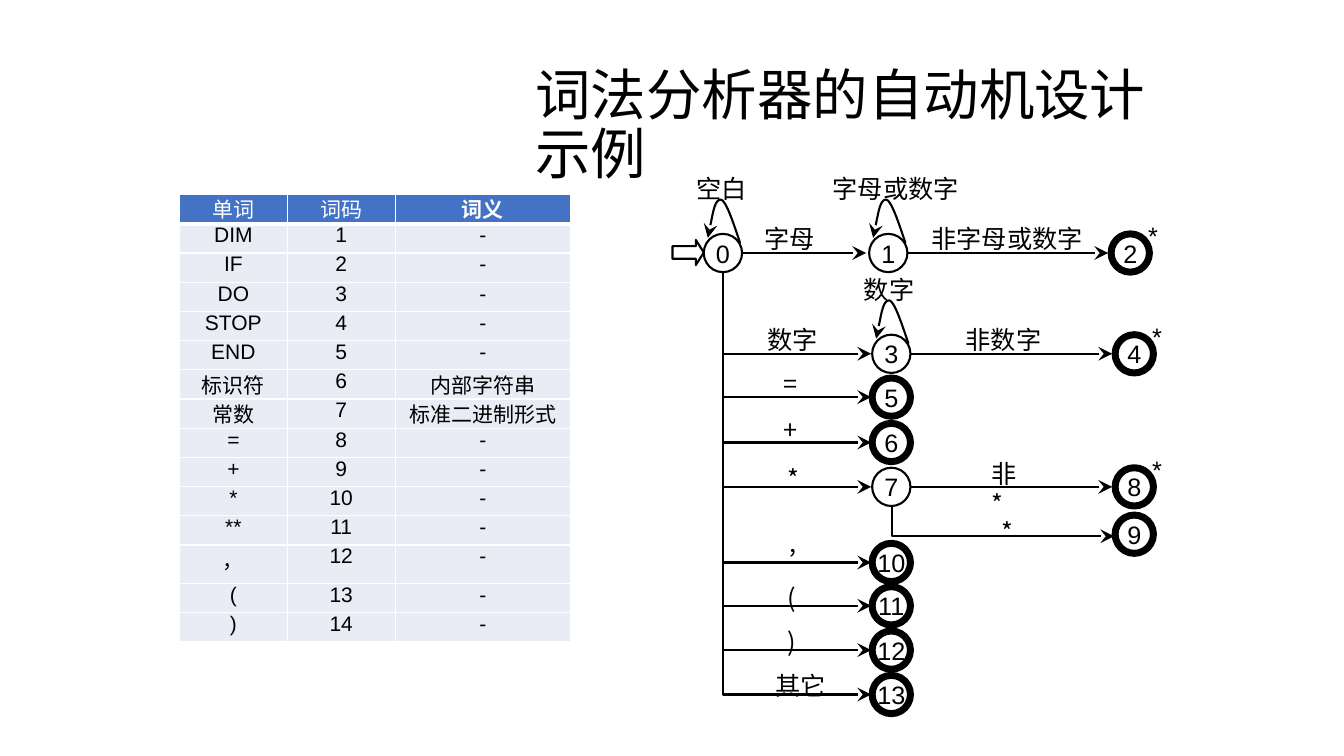
import pptx
import pptx.util
import pptx.dml.color
import pptx.enum.shapes
import pptx.enum.text
import pptx.oxml.ns
import lxml.etree

Inches, Pt = pptx.util.Inches, pptx.util.Pt
Shape = pptx.enum.shapes.MSO_SHAPE
Align = pptx.enum.text.PP_ALIGN
Mid = pptx.enum.text.MSO_ANCHOR.MIDDLE
qn = pptx.oxml.ns.qn

THEME = {
    "ink": "000000", "paper": "FFFFFF", "head": "4472C4", "cell": "E9EBF5",
    "latin": "Arial", "cjk": "Noto Sans CJK SC",
    "title": 39.6, "label": 18, "table": 15, "thin": 1.5, "thick": 5,
}

TITLE = "词法分析器的自动机设计示例"
HEAD = ("单词", "词码", "词义")
WORDS = ["DIM", "IF", "DO", "STOP", "END", "标识符", "常数",
         "=", "+", "*", "**", "，", "(", ")"]
SENSE = {"标识符": "内部字符串", "常数": "标准二进制形式"}
COLS = (1.07, 1.07, 1.74)
ROW, TALL = 0.29, 0.38

# state: (centre x, centre y)
STATES = {
    0: (7.17, 2.51), 1: (8.81, 2.51), 2: (11.21, 2.51),
    3: (8.84, 3.51), 4: (11.25, 3.51), 5: (8.84, 3.94), 6: (8.84, 4.39),
    7: (8.84, 4.83), 8: (11.25, 4.83), 9: (11.25, 5.3),
    10: (8.84, 5.58), 11: (8.84, 6.01), 12: (8.84, 6.45), 13: (8.84, 6.89),
}
OPEN = {0, 1, 3, 7}
RETRACT = (2, 4, 8)
LOOPS = (0, 1, 3)
STEPS = ((0, 1), (1, 2), (3, 4), (7, 8))
BRANCH = (3, 5, 6, 7, 10, 11, 12, 13)
LABELS = [  # text, left, top, width
    ("空白", 6.81, 1.67, 0.71), ("字母", 7.48, 2.17, 0.71),
    ("字母或数字", 8.16, 1.67, 1.46), ("非字母或数字", 9.14, 2.17, 1.72),
    ("数字", 7.51, 3.17, 0.71), ("数字", 8.47, 2.67, 0.71),
    ("非数字", 9.48, 3.17, 0.96), ("=", 7.67, 3.61, 0.39),
    ("+", 7.67, 4.06, 0.39), ("*", 7.71, 4.55, 0.32),
    ("非*", 9.74, 4.5, 0.52), ("*", 9.83, 5.07, 0.32),
    (",", 7.73, 5.18, 0.26), ("(", 7.71, 5.73, 0.29),
    (")", 7.71, 6.16, 0.29), ("其它", 7.59, 6.6, 0.71),
]
CURVE = [(0.17, -0.1), (0.1, -0.31), (0.03, -0.52), (-0.02, -0.53),
         (-0.08, -0.53), (-0.11, -0.34), (-0.15, -0.15)]
RAD = 0.19


def tint(name):
    """Return a theme colour."""
    return pptx.dml.color.RGBColor.from_string(THEME[name])


def put(obj, **vals):
    """Set several attributes on one object."""
    for key, val in vals.items():
        setattr(obj, key, val)


def write(frame, text, size, face="latin", ink="ink", bold=False,
          align=Align.LEFT, gap=None):
    """Write one formatted paragraph into a text frame."""
    para = frame.paragraphs[0]
    put(para, alignment=align, line_spacing=gap)
    run = para.add_run()
    run.text = text
    put(run.font, name=THEME[face], size=Pt(THEME[size]), bold=bold)
    run.font.color.rgb = tint(ink)
    if face == "cjk":
        node = lxml.etree.SubElement(run.font._element, qn("a:ea"))
        node.set("typeface", THEME[face])


def stroke(item, width="thin", tip=False):
    """Give an item a black outline, with an arrowhead if asked."""
    item.line.color.rgb = tint("ink")
    item.line.width = Pt(THEME[width])
    if tip:
        end = lxml.etree.SubElement(item.line._get_or_add_ln(), qn("a:tailEnd"))
        for key, val in {"type": "stealth", "w": "lg", "len": "lg"}.items():
            end.set(key, val)


def block(kind, left, top, wide, high, width="thin"):
    """Add an unfilled preset shape."""
    item = slide.shapes.add_shape(kind, *map(Inches, (left, top, wide, high)))
    item.shadow.inherit = False
    item.fill.background()
    stroke(item, width)
    return item


def trace(points, curved=False):
    """Draw an open arrow through points, or as cubic curves."""
    dots = [(Inches(x), Inches(y)) for x, y in points]
    pen = slide.shapes.build_freeform(*dots[0])
    pen.add_line_segments(dots[1:], close=False)
    item = pen.convert_to_shape()
    item.shadow.inherit = False
    item.fill.background()
    stroke(item, tip=True)
    if curved:
        track = item._element.xpath(".//a:path")[0]
        legs = track.findall(qn("a:lnTo"))
        for i in range(0, len(legs), 3):
            bend = lxml.etree.SubElement(track, qn("a:cubicBezTo"))
            for leg in legs[i:i + 3]:
                bend.append(leg[0])
                track.remove(leg)


def state(num):
    """Draw a state circle, thick when it accepts."""
    x, y = STATES[num]
    item = block(Shape.OVAL, x - RAD, y - RAD, 2 * RAD, 2 * RAD,
                 "thin" if num in OPEN else "thick")
    put(item.text_frame, word_wrap=False, vertical_anchor=Mid, margin_left=0,
        margin_right=0, margin_top=0, margin_bottom=0)
    write(item.text_frame, str(num), "label", align=Align.CENTER)


def step(start, end):
    """Draw a straight arrow between two states."""
    (x, y), (far, _) = STATES[start], STATES[end]
    item = slide.shapes.add_connector(
        pptx.enum.shapes.MSO_CONNECTOR.STRAIGHT,
        *map(Inches, (x + RAD + 0.01, y, far - RAD - 0.03, y)))
    stroke(item, tip=True)
    lxml.etree.SubElement(item._element.spPr, qn("a:effectLst"))


def label(text, left, top, wide, face="cjk"):
    """Add a transition label."""
    box = slide.shapes.add_textbox(*map(Inches, (left, top, wide, 0.4)))
    box.text_frame.word_wrap = text == "非*"
    write(box.text_frame, text, "label", face)


def edge(cell, side, width):
    """Add a white border to one side of a cell."""
    line = lxml.etree.SubElement(cell._tc.get_or_add_tcPr(), qn("a:" + side))
    line.set("w", str(Pt(width)))
    fill = lxml.etree.SubElement(line, qn("a:solidFill"))
    lxml.etree.SubElement(fill, qn("a:srgbClr")).set("val", THEME["paper"])


def grid():
    """Build the word table."""
    rows = [HEAD] + [(word, str(i), SENSE.get(word, "-"))
                     for i, word in enumerate(WORDS, 1)]
    tall = [TALL if row[0] == "，" else ROW for row in rows]
    table = slide.shapes.add_table(
        len(rows), len(COLS),
        *map(Inches, (1.78, 1.93, sum(COLS), sum(tall)))).table
    for col, wide in zip(table.columns, COLS):
        col.width = Inches(wide)
    for r, row in enumerate(rows):
        table.rows[r].height = Inches(tall[r])
        for c, text in enumerate(row):
            cell = table.cell(r, c)
            put(cell, margin_left=Inches(0.07), margin_right=Inches(0.07),
                margin_top=Inches(0.04), margin_bottom=Inches(0.04))
            for side in ("lnL", "lnR", "lnT", "lnB"):
                thick = (r, side) in ((0, "lnB"), (1, "lnT"))
                edge(cell, side, 3 if thick else 1)
            cell.fill.solid()
            cell.fill.fore_color.rgb = tint("cell" if r else "head")
            write(cell.text_frame, text, "table", ink="ink" if r else "paper",
                  bold=text == HEAD[2], align=Align.CENTER, gap=0.8)


deck = pptx.Presentation()
put(deck, slide_width=Inches(13.33), slide_height=Inches(7.5))
slide = deck.slides.add_slide(deck.slide_layouts[5])

title = slide.shapes.title
put(title, left=Inches(5.21), top=Inches(0.86),
    width=Inches(6.52), height=Inches(0.8))
put(title.text_frame, word_wrap=True, vertical_anchor=Mid,
    auto_size=pptx.enum.text.MSO_AUTO_SIZE.NONE)
write(title.text_frame, TITLE, "title", "cjk", gap=0.9)

entry = block(Shape.RIGHT_ARROW, 6.67, 2.38, 0.31, 0.25)
entry.adjustments[1] = 0.314
for num in STATES:
    state(num)
for num in LOOPS:
    x, y = STATES[num]
    trace([(x + dx, y + dy) for dx, dy in CURVE], curved=True)
for pair in STEPS:
    step(*pair)

trunk, top = STATES[0][0], STATES[0][1] + RAD
for num in BRANCH:
    x, y = STATES[num]
    trace([(trunk, top), (trunk, y), (x - RAD - 0.01, y)])
    top = y
trace([(8.85, 5.03), (8.85, 5.32), (11.05, 5.32)])

for item in LABELS:
    label(*item)
for num in RETRACT:
    x, y = STATES[num]
    label("*", x + 0.08, y - 0.37, 0.3, "latin")
grid()
deck.save("out.pptx")
